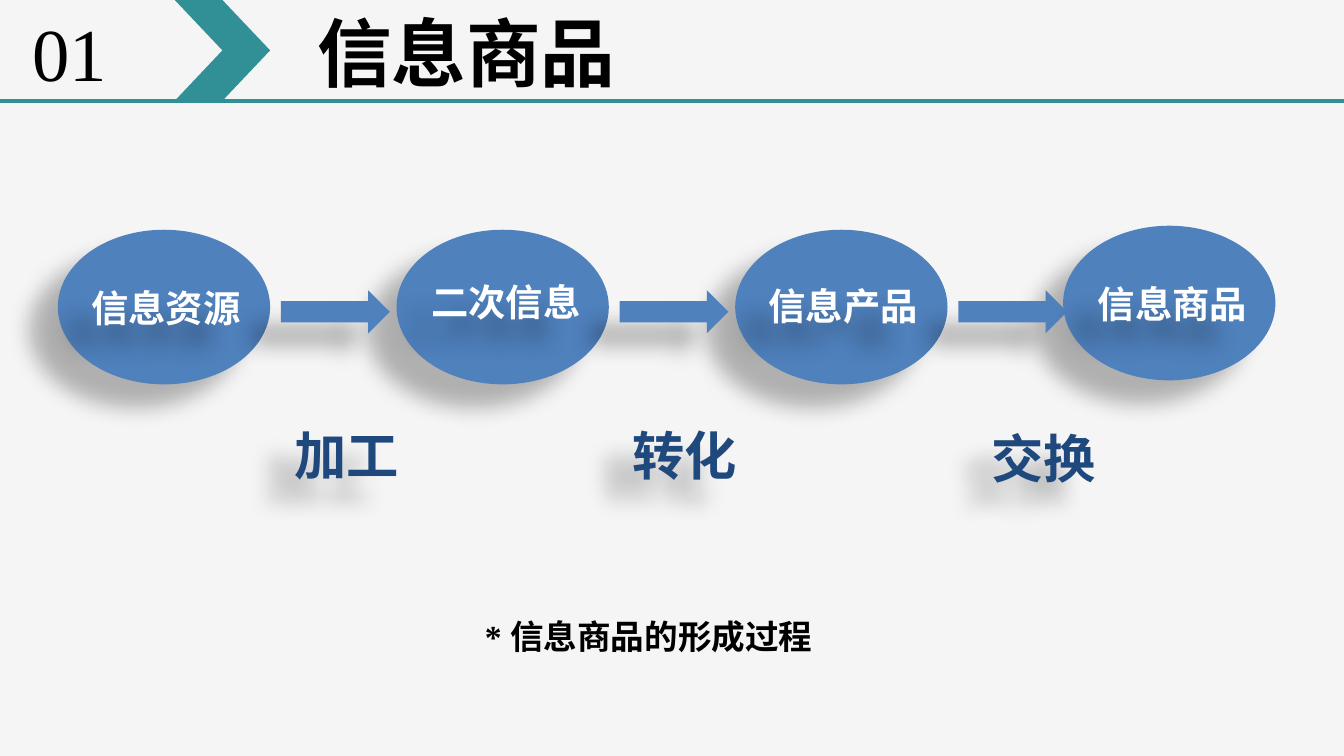
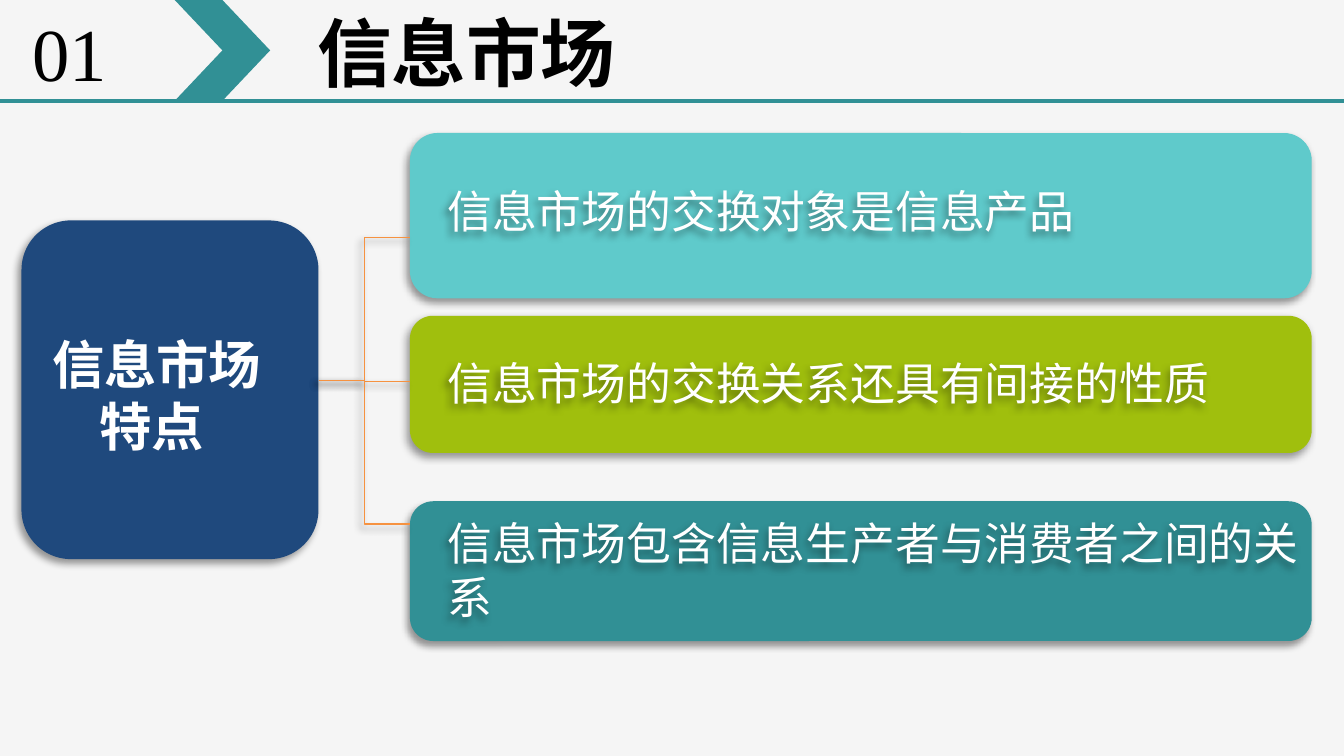
from lxml import etree
from pptx import Presentation
from pptx.dml.color import RGBColor
from pptx.enum import shapes, text
from pptx.oxml import ns
from pptx.util import Inches, Pt

COLORS = {
    "background": "F5F5F5",
    "teal": "319095",
    "aqua": "5FCACB",
    "green": "A0BF0D",
    "navy": "1F497D",
    "blue": "4F81BD",
    "orange": "F69240",
    "white": "FFFFFF",
    "black": "000000",
}
FONT = "Times New Roman"
# Shadows: opacity in percent, blur and distance in points, direction in degrees
FLOW_SHADOW = (28, 11.8, 19.7, 141)
CARD_SHADOW = (40, 4, 3, 135)
HEADER_INSETS = (0.08, 0.04)


def set_shadow(shape, shadow=None):
    """Give the shape an outer shadow, or none; call after fill and line are set."""
    effects = etree.SubElement(shape._element.spPr, ns.qn("a:effectLst"))
    if shadow:
        opacity, blur, distance, direction = shadow
        outer = etree.SubElement(
            effects, ns.qn("a:outerShdw"), blurRad=str(Pt(blur)), dist=str(Pt(distance)),
            dir=str(direction * 60000), algn="ctr", rotWithShape="0")
        color = etree.SubElement(outer, ns.qn("a:srgbClr"), val=COLORS["black"])
        etree.SubElement(color, ns.qn("a:alpha"), val=str(opacity * 1000))


def add_label(slide, box, lines, size, color, bold=False, shadow=None, insets=(0.1, 0.05),
              spacing=1.0, wrap=True):
    label = slide.shapes.add_textbox(*map(Inches, box))
    frame = label.text_frame
    frame.word_wrap = wrap
    frame.auto_size = text.MSO_AUTO_SIZE.SHAPE_TO_FIT_TEXT
    frame.margin_left, frame.margin_top = map(Inches, insets)
    frame.margin_right, frame.margin_bottom = map(Inches, insets)
    for index, line in enumerate(lines):
        paragraph = frame.add_paragraph() if index else frame.paragraphs[0]
        paragraph.line_spacing = spacing
        run = paragraph.add_run()
        run.text = line
        run.font.name = FONT
        run.font.size = Pt(size)
        run.font.bold = bold
        run.font.color.rgb = RGBColor.from_string(COLORS[color])
    if shadow:
        set_shadow(label, shadow)
    return frame


presentation = Presentation()
presentation.slide_width = Inches(10)
presentation.slide_height = Inches(10 * 9 / 16)
blank = presentation.slide_layouts[6]
process = presentation.slides.add_slide(blank)
market = presentation.slides.add_slide(blank)

# Filled shapes of both slides, from back to front
stages = [(0.43, 1.71), (2.95, 1.71), (5.47, 1.71), (7.91, 1.68)]
cards = [(0.99, 1.23, "aqua"), (2.35, 1.02, "green"), (3.73, 1.04, "teal")]
OVAL = shapes.MSO_SHAPE.OVAL
ARROW = shapes.MSO_SHAPE.RIGHT_ARROW
ROUNDED = shapes.MSO_SHAPE.ROUNDED_RECTANGLE
CHEVRON = shapes.MSO_SHAPE.CHEVRON

blocks = [(process, OVAL, (left, top, 1.58, 1.15), "blue", FLOW_SHADOW)
          for left, top in stages]
blocks += [(process, ARROW, (2.09 + 2.52 * step, 2.16, 0.81, 0.32), "blue", FLOW_SHADOW)
           for step in range(3)]
blocks += [(market, ROUNDED, (3.05, top, 6.71, height), color, CARD_SHADOW)
           for top, height, color in cards]
blocks.append((market, ROUNDED, (0.16, 1.64, 2.21, 2.52), "navy", CARD_SHADOW))
blocks += [(slide, CHEVRON, (1.3, 0, 0.71, 0.75), "teal", None)
           for slide in (process, market)]

for slide, kind, box, color, shadow in blocks:
    shape = slide.shapes.add_shape(kind, *map(Inches, box))
    shape.fill.solid()
    shape.fill.fore_color.rgb = RGBColor.from_string(COLORS[color])
    shape.line.fill.background()
    set_shadow(shape, shadow)

# Header rules, and brackets from the topic to its three cards
lines = [(slide, shapes.MSO_CONNECTOR.STRAIGHT, (0, 0.75, 10.01, 0.75), "teal", 2.25, None)
         for slide in (process, market)]
lines += [(market, shapes.MSO_CONNECTOR.ELBOW, (2.37, 2.83, 3.05, end), "orange", 0.75,
           CARD_SHADOW) for end in (2.84, 1.77, 3.9)]
for slide, kind, ends, color, width, shadow in lines:
    connector = slide.shapes.add_connector(kind, *map(Inches, ends))
    connector.line.color.rgb = RGBColor.from_string(COLORS[color])
    connector.line.width = Pt(width)
    set_shadow(connector, shadow)

# Shared background and header text
for slide, title in ((process, "信息商品"), (market, "信息市场")):
    slide.background.fill.solid()
    slide.background.fill.fore_color.rgb = RGBColor.from_string(COLORS["background"])
    add_label(slide, (2.28, 0.01, 5.16, 0.76), [title], 40, "black", bold=True,
              insets=HEADER_INSETS)
    add_label(slide, (0.16, 0.01, 0.73, 0.76), ["01"], 40, "black",
              insets=HEADER_INSETS, wrap=False)

# Slide 1: how an information commodity is formed
stage_labels = [("信息资源", 0.58, 2.07, 1.34), ("二次信息", 3.11, 2.03, 1.49),
                ("信息产品", 5.62, 2.06, 1.42), ("信息商品", 8.07, 2.04, 1.34)]
for name, left, top, width in stage_labels:
    add_label(process, (left, top, width, 0.44), [name], 20, "white", bold=True,
              shadow=FLOW_SHADOW)

step_labels = [("加工", 2.09, 3.1, 1.02), ("转化", 4.61, 3.1, 1.25), ("交换", 7.28, 3.12, 1.57)]
for name, left, top, width in step_labels:
    add_label(process, (left, top, width, 0.57), [name], 28, "navy", bold=True,
              shadow=FLOW_SHADOW)

add_label(process, (3.51, 4.23, 3.3, 0.62), ["* 信息商品的形成过程"], 18, "black",
          bold=True, spacing=2.0)

# Slide 2: features of the information market
features = [("信息市场的交换对象是信息产品", 1.32, 5.52, 0.5),
            ("信息市场的交换关系还具有间接的性质", 2.6, 6.27, 0.5),
            ("信息市场包含信息生产者与消费者之间的关系", 3.79, 6.53, 0.91)]
for feature, top, width, height in features:
    add_label(market, (3.23, top, width, height), [feature], 24, "white", shadow=CARD_SHADOW)

topic = add_label(market, (0.29, 2.42, 1.78, 1.04), ["信息市场", "特点"], 28, "white",
                  bold=True, wrap=False)
topic.paragraphs[1]._p.get_or_add_pPr().set("marL", str(Inches(0.35)))

presentation.save("out.pptx")
